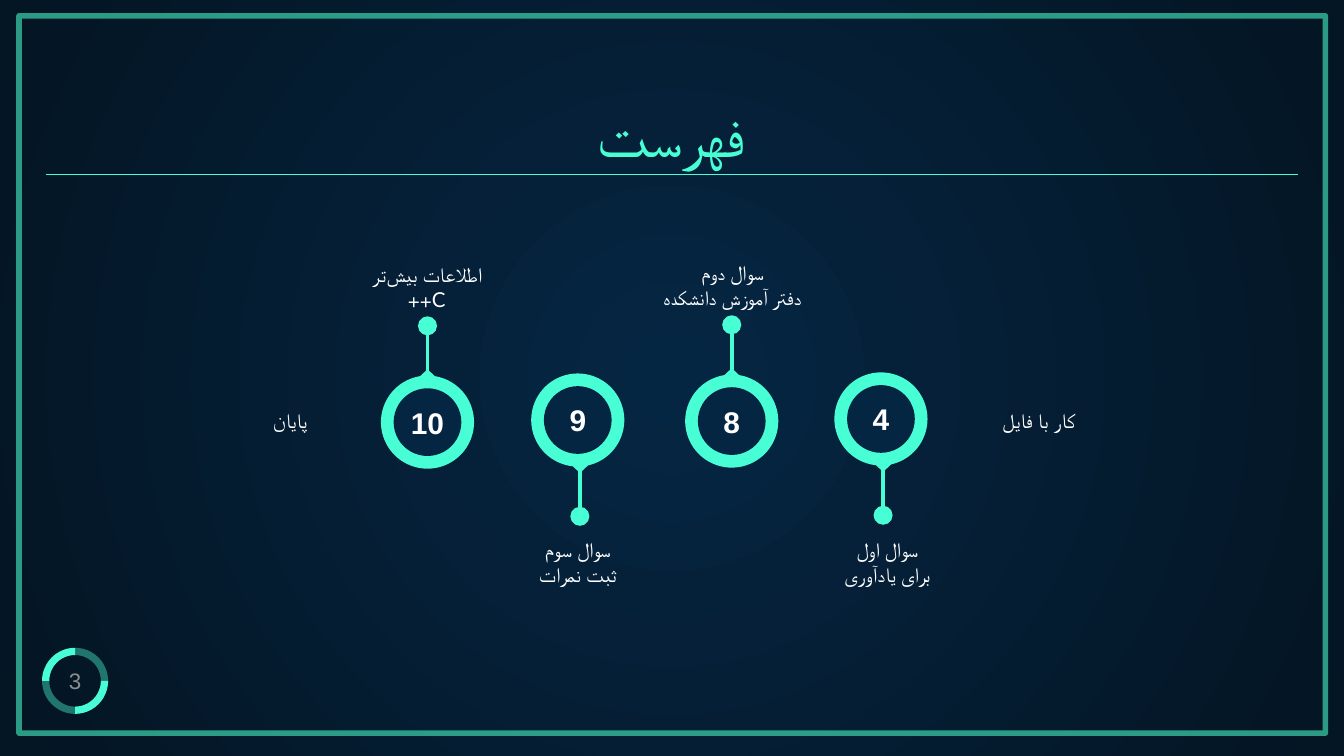
from lxml import etree
from pptx import Presentation
from pptx.dml.color import RGBColor
from pptx.enum.shapes import MSO_CONNECTOR, MSO_SHAPE
from pptx.enum.text import MSO_ANCHOR, PP_ALIGN
from pptx.oxml.ns import qn
from pptx.util import Cm, Pt

MINT = RGBColor(0x48, 0xFF, 0xD5)
FRAME_GREEN = RGBColor(0x35, 0xBD, 0x9E)
NAVY = RGBColor(0x05, 0x26, 0x43)
DARK_NAVY = RGBColor(0x04, 0x15, 0x23)
WHITE = RGBColor(0xFF, 0xFF, 0xFF)
GREY = RGBColor(0x8C, 0x8C, 0x8C)

OVAL = MSO_SHAPE.OVAL
TRIANGLE = MSO_SHAPE.ISOSCELES_TRIANGLE
ARC = MSO_SHAPE.BLOCK_ARC
RECTANGLE = MSO_SHAPE.RECTANGLE
STRAIGHT = MSO_CONNECTOR.STRAIGHT
CENTER, LEFT = PP_ALIGN.CENTER, PP_ALIGN.LEFT
TOP, MIDDLE, BOTTOM = MSO_ANCHOR.TOP, MSO_ANCHOR.MIDDLE, MSO_ANCHOR.BOTTOM

HALF_SPACE = chr(0x200C)  # Persian zero-width non-joiner
UP, DOWN = -1, 1
RING_SIZE, HOLE_SIZE, DOT_SIZE = 1.76, 1.28, 0.36
# number, ring centre, pin centre, pin direction
MILESTONES = [
    ("4", 16.65, 7.92, 16.69, DOWN),
    ("8", 13.83, 7.96, 13.83, UP),
    ("9", 10.92, 7.94, 10.96, DOWN),
    ("10", 8.08, 7.98, 8.08, UP),
]
# lines, left, top, width, height, alignment
LABELS = [
    (["کار با فایل"], 18.69, 7.47, 2.29, 1.19, LEFT),
    (["سوال اول", "برای یادآوری"], 14.99, 9.91, 3.56, 1.14, CENTER),
    (["سوال دوم", "دفتر آموزش دانشکده"], 11.79, 4.67, 4.11, 1.27, CENTER),
    (["سوال سوم", "ثبت نمرات"], 9.14, 9.91, 3.56, 1.14, CENTER),
    ([f"اطلاعات بیش{HALF_SPACE}تر", "C++"], 6.53, 4.7, 3.07, 1.14, CENTER),
    (["پایان"], 4.67, 7.47, 1.63, 0.84, CENTER),
]


def set_alpha(shape, percent):
    for color in shape._element.spPr.iter(qn("a:srgbClr")):
        etree.SubElement(color, qn("a:alpha")).set("val", str(percent * 1000))


def paint_background(page):
    """Radial gradient from the middle of the page."""
    fill = page.background.fill
    fill.gradient()
    for stop, color in zip(fill.gradient_stops, (NAVY, DARK_NAVY)):
        stop.color.rgb = color
    gradient = page.element.find(".//" + qn("a:gradFill"))
    gradient.remove(gradient.find(qn("a:lin")))
    radial = etree.SubElement(gradient, qn("a:path"), {"path": "circle"})
    middle = {side: "50000" for side in "ltrb"}
    etree.SubElement(radial, qn("a:fillToRect"), middle)


def add_centered_shape(page, kind, x, y, width, height, color=MINT):
    """Filled shape without outline, placed by its centre."""
    shape = page.shapes.add_shape(
        kind, Cm(x - width / 2), Cm(y - height / 2), Cm(width), Cm(height))
    shape.shadow.inherit = False
    shape.fill.solid()
    shape.fill.fore_color.rgb = color
    shape.line.fill.background()
    return shape


def add_line(page, x1, y1, x2, y2, weight):
    line = page.shapes.add_connector(STRAIGHT, Cm(x1), Cm(y1), Cm(x2), Cm(y2))
    line.line.color.rgb = MINT
    line.line.width = Pt(weight)
    etree.SubElement(line._element.spPr, qn("a:effectLst"))


def add_text(page, lines, left, top, width, height, size, color=WHITE,
             font="Arial", align=CENTER, anchor=MIDDLE, bold=False,
             rtl=False, wrap=True):
    box = page.shapes.add_textbox(Cm(left), Cm(top), Cm(width), Cm(height))
    frame = box.text_frame
    frame.word_wrap = wrap
    frame.vertical_anchor = anchor
    if rtl:
        frame.margin_left = frame.margin_right = Cm(0.25)
        frame.margin_top = frame.margin_bottom = Cm(0.25)
    frame.text = "\n".join(lines)
    for para in frame.paragraphs:
        para.alignment = align
        if rtl:
            para._p.get_or_add_pPr().set("rtl", "1")
        for span in para.runs:
            span.font.name = font
            span.font.size = Pt(size)
            span.font.bold = bold
            span.font.color.rgb = color


def add_frame(page):
    frame = page.shapes.add_shape(
        RECTANGLE, Cm(0.36), Cm(0.3), Cm(24.69), Cm(13.56))
    frame.shadow.inherit = False
    frame.fill.background()
    frame.line.color.rgb = FRAME_GREEN
    frame.line.width = Pt(3)
    set_alpha(frame, 80)


def add_page_number(page, number):
    """Number inside a ring of four quarters, every other one faded."""
    x, y, size = 1.42, 12.87, 1.25
    for quarter in range(4):
        arc = add_centered_shape(page, ARC, x, y, size, size)
        start = quarter * 90
        # Angles are stored in 60000ths of a degree, scaled by 100000
        arc.adjustments[0] = start * 0.6
        arc.adjustments[1] = (start + 90) % 360 * 0.6
        arc.adjustments[2] = 0.11
        if quarter % 2:
            set_alpha(arc, 41)
    add_text(page, [number], x - size / 2, y - size / 2, size, size, 12, GREY)


def add_milestone(page, number, x, y, pin_x, direction):
    add_centered_shape(page, OVAL, x, y, RING_SIZE, RING_SIZE)
    tip = add_centered_shape(
        page, TRIANGLE, pin_x, y + direction * 0.92, 0.34, 0.16)
    tip.rotation = 180 if direction == DOWN else 0
    add_line(page, pin_x, y + direction * 0.76, pin_x, y + direction * 1.7, 1.95)
    add_centered_shape(
        page, OVAL, pin_x, y + direction * 1.82, DOT_SIZE, DOT_SIZE)
    add_centered_shape(page, OVAL, x, y, HOLE_SIZE, HOLE_SIZE, NAVY)
    width, height = 0.84 if len(number) == 1 else 1.14, 0.94
    add_text(page, [number], x - width / 2, y - height / 2, width, height, 16,
             bold=True, wrap=False)


def main():
    deck = Presentation()
    deck.slide_width, deck.slide_height = Cm(25.4), Cm(14.29)
    page = deck.slides.add_slide(deck.slide_layouts[6])
    paint_background(page)
    add_frame(page)
    add_page_number(page, "3")
    add_text(page, ["فهرست"], 0.86, 1.78, 23.67, 1.68, 32, MINT,
             anchor=BOTTOM, rtl=True)
    add_line(page, 0.86, 3.3, 24.54, 3.3, 0.75)
    for milestone in MILESTONES:
        add_milestone(page, *milestone)
    for lines, left, top, width, height, align in LABELS:
        add_text(page, lines, left, top, width, height, 11, font="Lato",
                 align=align, anchor=TOP, rtl=True)
    deck.save("out.pptx")


if __name__ == "__main__":
    main()
